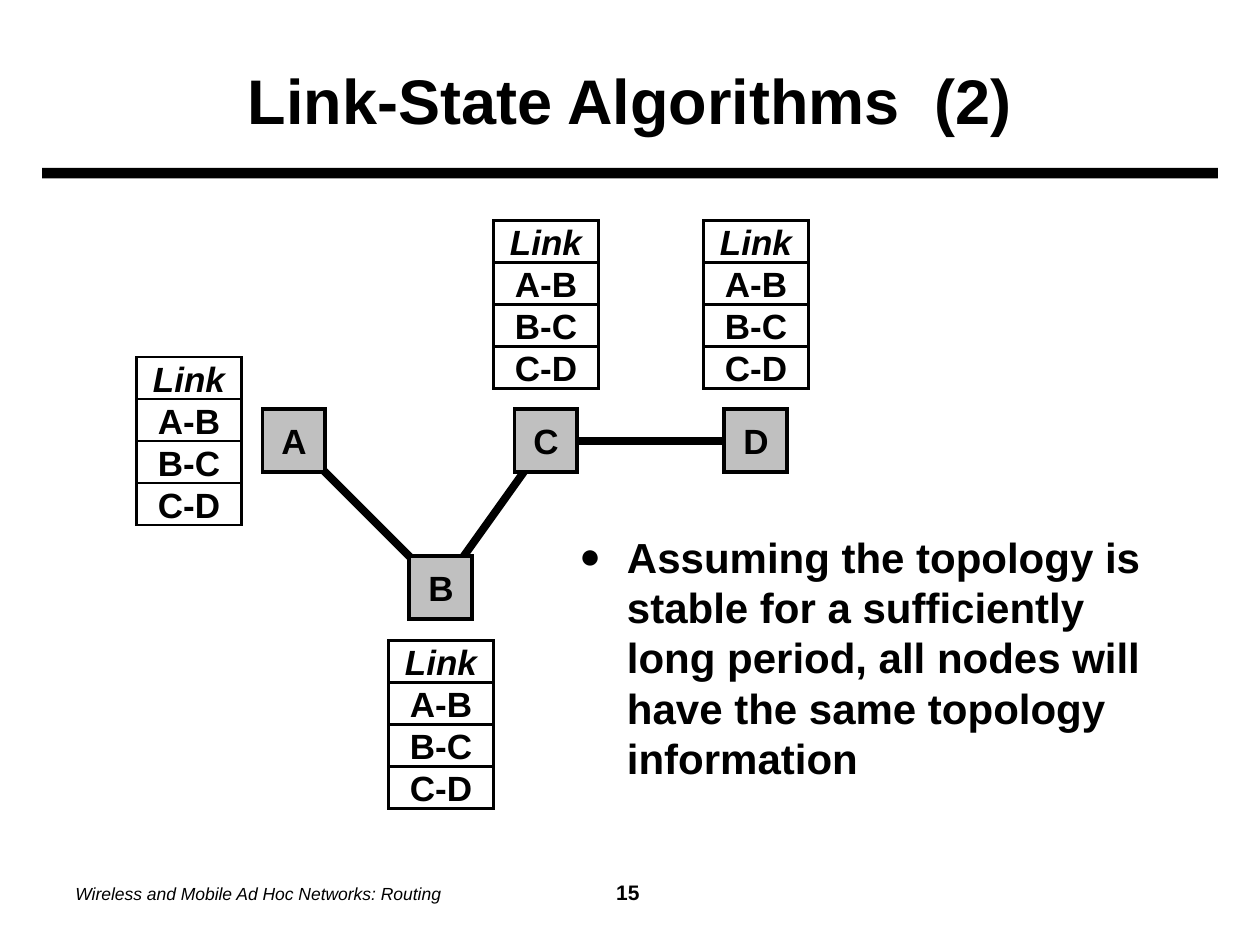
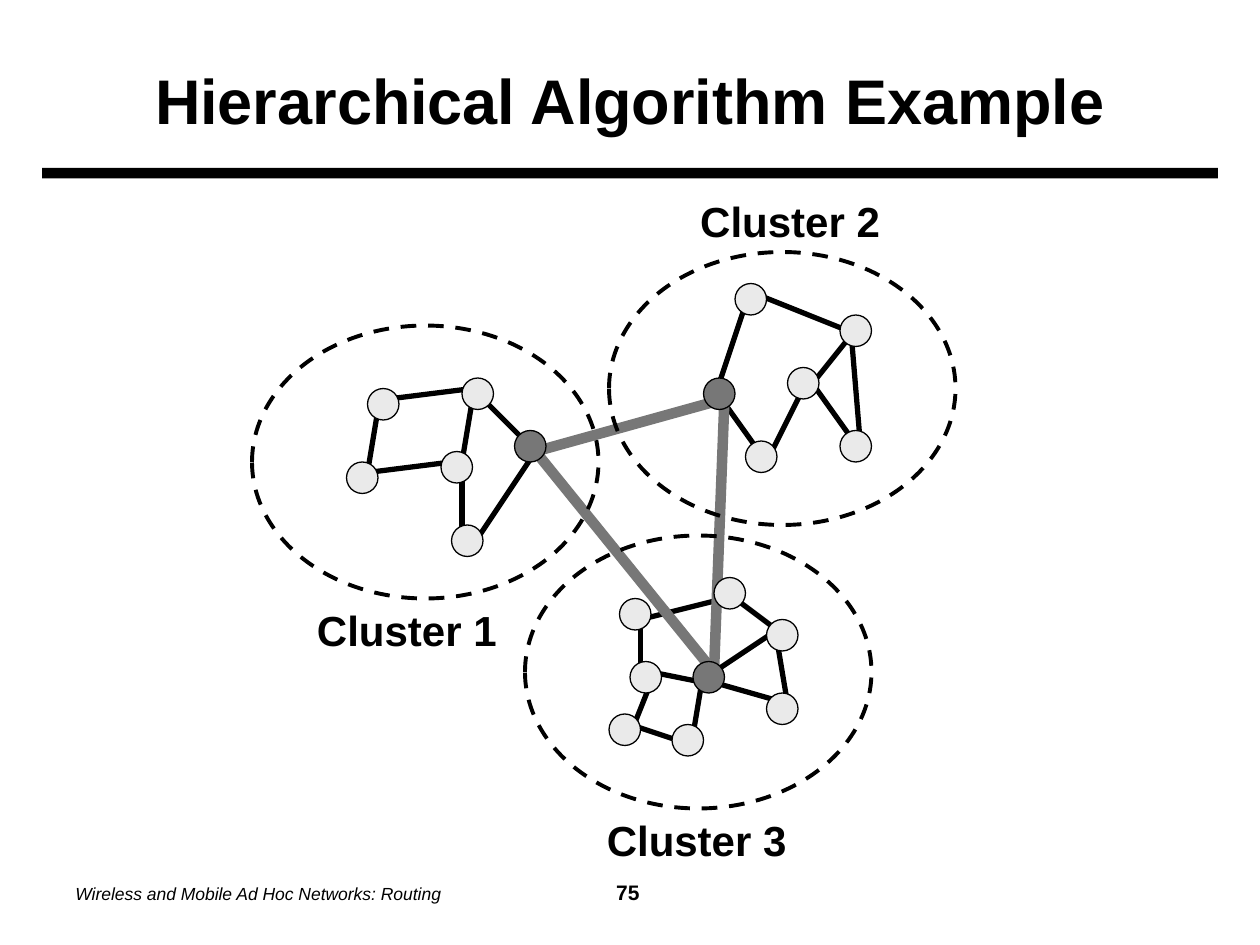
from dataclasses import dataclass

from lxml import etree
from pptx import Presentation
from pptx.dml.color import RGBColor
from pptx.enum.dml import MSO_LINE
from pptx.enum.shapes import MSO_CONNECTOR, MSO_SHAPE
from pptx.enum.text import MSO_ANCHOR, MSO_AUTO_SIZE, PP_ALIGN
from pptx.oxml.ns import qn
from pptx.util import Cm, Pt

LEFT, CENTER = PP_ALIGN.LEFT, PP_ALIGN.CENTER
TOP, MIDDLE = MSO_ANCHOR.TOP, MSO_ANCHOR.MIDDLE
RECTANGLE, OVAL = MSO_SHAPE.RECTANGLE, MSO_SHAPE.OVAL
STRAIGHT, DASH = MSO_CONNECTOR.STRAIGHT, MSO_LINE.DASH
NO_AUTOFIT = MSO_AUTO_SIZE.NONE


@dataclass(frozen=True)
class Theme:
    font: str = "Arial"
    ink: str = "000000"
    paper: str = "FFFFFF"
    router: str = "C0C0C0"
    member: str = "EAEAEA"
    head: str = "777777"
    title_size: int = 36
    body_size: int = 24
    label_size: int = 20
    page_size: int = 12
    footer_size: int = 10


THEME = Theme()

# Places and sizes are grid steps; twelve steps make 2.54 cm.
FOOTER = "Wireless and Mobile Ad Hoc Networks: Routing"

LINK_STATE = {
    "title": "Link-State Algorithms  (2)",
    "page": 15,
    "routers": {"A": (25, 39), "B": (39, 53), "C": (49, 39), "D": (69, 39)},
    "links": ["BC", "AB", "CD"],
    "rows": ["Link", "A-B", "B-C", "C-D"],
    "tables": {"A": (13, 34), "C": (47, 21), "D": (67, 21), "B": (37, 61)},
    "bullet": "Assuming the topology is stable for a sufficiently long period, "
              "all nodes will have the same topology information",
}

HIERARCHY = {
    "title": "Hierarchical Algorithm Example",
    "page": 75,
    "backbone": [(51, 43, 68, 64), (69, 38, 68, 64), (69, 38, 51, 43)],
    "clusters": [
        {
            "name": "Cluster 1", "label": (29, 57), "outline": (24, 31), "head": (49, 41),
            "members": [(42, 43), (35, 37), (33, 44), (43, 50), (44, 36)],
            "links": [(45, 38, 44, 44), (51, 43, 45, 52), (46, 38, 51, 43), (36, 39, 35, 45),
                      (44, 45, 44, 52), (35, 45, 43, 44), (37, 38, 45, 37)],
        },
        {
            "name": "Cluster 3", "label": (56.6, 77), "outline": (50, 51), "head": (66, 63),
            "members": [(59, 57), (68, 55), (73, 59), (73, 66), (64, 69), (60, 63), (58, 68)],
            "links": [(62, 64, 67, 65), (61, 58, 61, 65), (62, 65, 60, 70), (67, 64, 66, 70),
                      (60, 69, 66, 71), (68, 65, 75, 67), (70, 57, 74, 60), (74, 61, 75, 67),
                      (74, 60, 68, 64), (69, 57, 61, 59)],
        },
        {
            "name": "Cluster 2", "label": (65.5, 18), "outline": (58, 24), "head": (67, 36),
            "members": [(70, 27), (80, 30), (80, 41), (71, 42), (75, 35)],
            "links": [(81, 32, 77, 37), (81, 31, 82, 43), (71, 29, 68, 38), (77, 36, 73, 44),
                      (68, 37, 73, 44), (72, 28, 82, 32), (77, 36, 82, 43)],
        },
    ],
}


def grid(*steps):
    return [Cm(2.54 * step / 12) for step in steps]


def color(value):
    return RGBColor.from_string(value)


def style(span, size, bold=True, italic=False):
    font = span.font
    font.name, font.size = THEME.font, Pt(size)
    font.bold, font.italic = bold, italic
    font.color.rgb = color(THEME.ink)


def write(frame, text, size, align=CENTER, anchor=MIDDLE, wrap=False, italic=False):
    frame.text = text
    frame.word_wrap = wrap
    frame.auto_size = NO_AUTOFIT
    frame.vertical_anchor = anchor
    para = frame.paragraphs[0]
    para.alignment = align
    style(para.runs[0], size, italic=italic)
    return para


def add_box(parent, kind, place, fill=None, width=None, dash=None):
    box = parent.shapes.add_shape(kind, *grid(*place))
    box.shadow.inherit = False
    if fill:
        box.fill.solid()
        box.fill.fore_color.rgb = color(fill)
    else:
        box.fill.background()
    if width:
        box.line.color.rgb = color(THEME.ink)
        box.line.width = Pt(width)
        box.line.dash_style = dash
        outline = box._element.spPr.find(qn("a:ln"))
        etree.SubElement(outline, qn("a:miter"), lim="800000")
    else:
        box.line.fill.background()
    return box


def add_link(page, ends, width, paint=THEME.ink):
    link = page.shapes.add_connector(STRAIGHT, *grid(*ends))
    link.line.color.rgb = color(paint)
    link.line.width = Pt(width)
    etree.SubElement(link._element.spPr, qn("a:effectLst"))


def add_text(page, place, text, size, **options):
    box = page.shapes.add_textbox(*grid(*place))
    return write(box.text_frame, text, size, **options)


def add_page(deck, content):
    page = deck.slides.add_slide(deck.slide_layouts[5])
    title = page.shapes.title
    title.left, title.top, title.width, title.height = grid(6, 3, 108, 13)
    write(title.text_frame, content["title"], THEME.title_size, wrap=True)
    add_box(page, RECTANGLE, (4, 16, 112, 1), THEME.ink)

    para = add_text(page, (6, 82, 108, 6), FOOTER, THEME.footer_size, align=LEFT, wrap=True)
    tabs = etree.SubElement(para._p.get_or_add_pPr(), qn("a:tabLst"))
    etree.SubElement(tabs, qn("a:tab"), pos=str(Cm(11.08)), algn="ctr")
    style(para.runs[0], THEME.footer_size, bold=False, italic=True)
    number = para.add_run()
    number.text = f"\t {content['page']}"
    style(number, THEME.page_size)
    return page


def add_link_table(page, place, rows):
    left, top = place
    width, height = 10, 4
    group = page.shapes.add_group_shape()
    for index, text in enumerate(rows):
        row = (left, top + index * height, width, height)
        box = add_box(group, RECTANGLE, row, THEME.paper, 1.5)
        write(box.text_frame, text, THEME.label_size, italic=index == 0)


def add_bullet(para):
    properties = para._p.get_or_add_pPr()
    indent = Cm(0.96)
    properties.set("marL", str(indent))
    properties.set("indent", str(-indent))
    paint = etree.SubElement(properties, qn("a:buClr"))
    etree.SubElement(paint, qn("a:srgbClr"), val=THEME.ink)
    etree.SubElement(properties, qn("a:buSzPct"), val="85000")
    etree.SubElement(properties, qn("a:buFont"), typeface=THEME.font)
    etree.SubElement(properties, qn("a:buChar"), char="●")


def build_link_state(deck):
    page = add_page(deck, LINK_STATE)
    para = add_text(page, (54, 50, 59.5, 31), LINK_STATE["bullet"], THEME.body_size,
                    align=LEFT, anchor=TOP, wrap=True)
    add_bullet(para)

    side = 6
    routers = LINK_STATE["routers"]
    for start, end in LINK_STATE["links"]:
        ends = [step + side / 2 for step in routers[start] + routers[end]]
        add_link(page, ends, 4.5)
    for name, place in routers.items():
        box = add_box(page, RECTANGLE, (*place, side, side), THEME.router, 2.25)
        write(box.text_frame, name, THEME.label_size)
    for place in LINK_STATE["tables"].values():
        add_link_table(page, place, LINK_STATE["rows"])


def build_hierarchy(deck):
    page = add_page(deck, HIERARCHY)
    clusters = HIERARCHY["clusters"]
    for cluster in clusters:
        for ends in cluster["links"]:
            add_link(page, ends, 3)
    for ends in HIERARCHY["backbone"]:
        add_link(page, ends, 6, THEME.head)
    for cluster in clusters:
        add_box(page, OVAL, (*cluster["outline"], 33, 26), width=2.25, dash=DASH)
        add_text(page, (*cluster["label"], 19.5, 6), cluster["name"], THEME.body_size)
    for cluster in clusters:
        for place in cluster["members"]:
            add_box(page, OVAL, (*place, 3, 3), THEME.member, 0.75)
        add_box(page, OVAL, (*cluster["head"], 3, 3), THEME.head, 0.75)


def main():
    deck = Presentation()
    deck.slide_width, deck.slide_height = Cm(25.4), Cm(19.05)
    build_link_state(deck)
    build_hierarchy(deck)
    deck.save("out.pptx")


if __name__ == "__main__":
    main()
